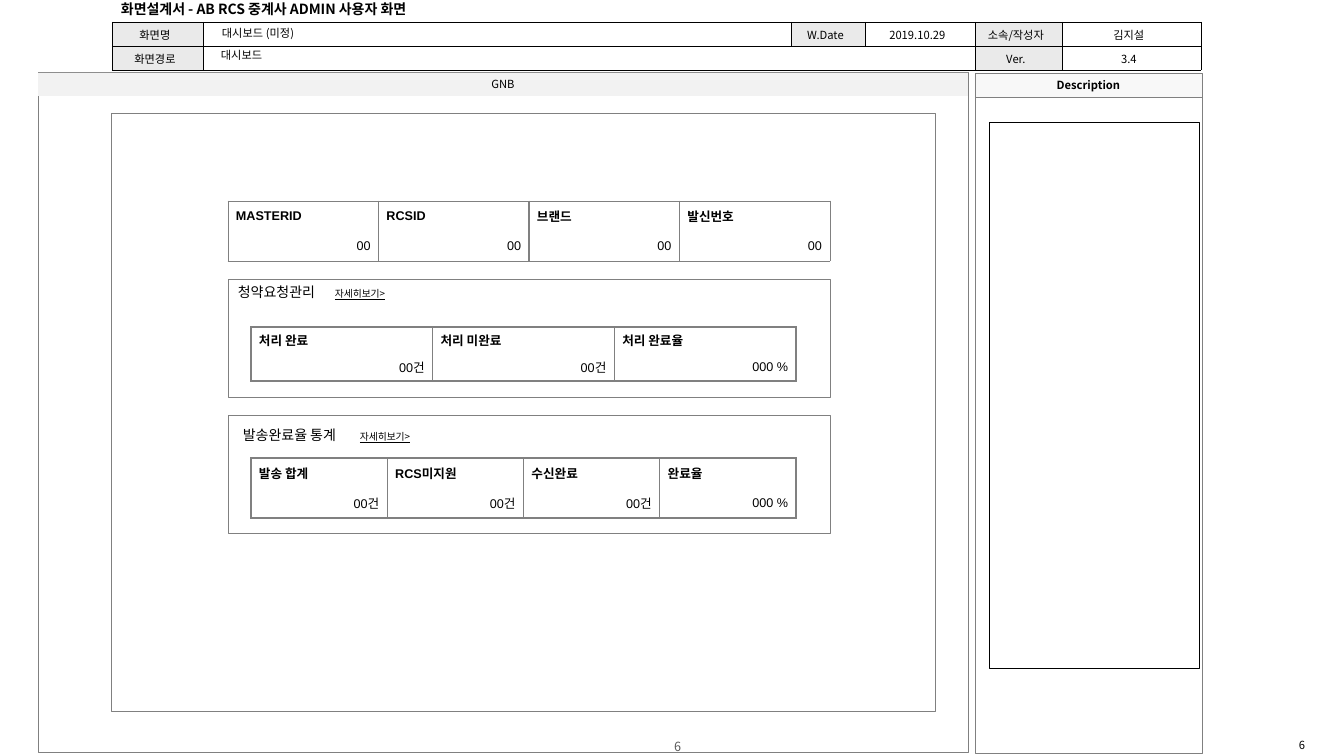
from lxml import etree
from pptx import Presentation
from pptx import util as u
from pptx.dml.color import RGBColor
from pptx.enum import shapes, text
from pptx.oxml import ns

EMU_PER_PX = 914400 / 100.8
BLACK = RGBColor(0x00, 0x00, 0x00)
WHITE = RGBColor(0xFF, 0xFF, 0xFF)
GRAY = RGBColor(0x80, 0x80, 0x80)
PAGE_GRAY = RGBColor(0x59, 0x59, 0x59)
LABEL_FILL = RGBColor(0xEA, 0xEA, 0xEA)
GNB_FILL = RGBColor(0xF2, 0xF2, 0xF2)
HEADING_FILL = RGBColor(0xF8, 0xF8, 0xF8)
NOTO = "Noto Sans CJK KR"
ARIAL = "Arial"
LEFT, CENTER, RIGHT = text.PP_ALIGN.LEFT, text.PP_ALIGN.CENTER, text.PP_ALIGN.RIGHT
TOP, MIDDLE = text.MSO_ANCHOR.TOP, text.MSO_ANCHOR.MIDDLE
RECTANGLE = shapes.MSO_SHAPE.RECTANGLE


def px(length):
    """Turn pixels into EMU."""
    return u.Emu(round(length * EMU_PER_PX))


def add_run(paragraph, words, size, font=NOTO, color=BLACK, bold=False, underline=False):
    """Append one formatted run."""
    run = paragraph.add_run()
    run.text = words
    run.font.size = u.Pt(size)
    run.font.bold = bold
    if underline:
        run.font.underline = True
    run.font.color.rgb = color
    run.font.name = font
    latin = run.font._element.find(ns.qn("a:latin"))
    latin.addnext(latin.makeelement(ns.qn("a:ea"), {"typeface": NOTO}))


def add_label(slide, box, words="", size=8, align=LEFT, anchor=TOP, **style):
    """Add a text box and return its paragraph."""
    frame = slide.shapes.add_textbox(*map(px, box)).text_frame
    frame.word_wrap = True
    frame.vertical_anchor = anchor
    paragraph = frame.paragraphs[0]
    paragraph.alignment = align
    if words:
        add_run(paragraph, words, size, **style)
    return paragraph


def add_box(slide, box, fill=None, line=None, width=0.25, words="", bold=False,
            preset=RECTANGLE):
    """Add an outlined or filled shape with an optional centred caption."""
    shape = slide.shapes.add_shape(preset, *map(px, box))
    shape.shadow.inherit = False
    if fill is None:
        shape.fill.background()
    else:
        shape.fill.solid()
        shape.fill.fore_color.rgb = fill
    if line is None:
        shape.line.fill.background()
    else:
        shape.line.color.rgb = line
        shape.line.width = u.Pt(width)
    if words:
        shape.text_frame.vertical_anchor = MIDDLE
        paragraph = shape.text_frame.paragraphs[0]
        paragraph.alignment = CENTER
        add_run(paragraph, words, 8, bold=bold)
    return shape


def set_borders(cell, color, widths):
    """Draw the left, right, top and bottom borders; a zero width hides one."""
    properties = cell._tc.get_or_add_tcPr()
    for index, (side, width) in enumerate(zip("LRTB", widths)):
        line = properties.makeelement(ns.qn(f"a:ln{side}"), {"w": str(u.Pt(width))})
        if width:
            fill = etree.SubElement(line, ns.qn("a:solidFill"))
            etree.SubElement(fill, ns.qn("a:srgbClr"), val=str(color))
        else:
            etree.SubElement(line, ns.qn("a:noFill"))
        properties.insert(index, line)


def add_table(slide, left, top, columns, rows):
    """Add an unbanded table with column widths in EMU and row heights in px."""
    table = slide.shapes.add_table(len(rows), len(columns), px(left), px(top),
                                   sum(columns), px(sum(rows))).table
    table.first_row = table.horz_banding = False
    for column, width in zip(table.columns, columns):
        column.width = width
    for row, height in zip(table.rows, rows):
        row.height = px(height)
    return table


def fill_cell(cell, words, fill, align, margins, size, **style):
    """Set the fill, margins and text of a cell."""
    cell.fill.solid()
    cell.fill.fore_color.rgb = fill
    cell.vertical_anchor = MIDDLE
    cell.margin_left, cell.margin_right = map(px, margins)
    cell.margin_top = cell.margin_bottom = px(4)
    paragraph = cell.text_frame.paragraphs[0]
    paragraph.alignment = align
    if words:
        add_run(paragraph, words, size, **style)
    else:
        etree.SubElement(paragraph._p, ns.qn("a:endParaRPr"), sz=str(size * 100))


def document_header(slide, left, top):
    """Place the document title and the screen information table."""
    add_label(slide, (left - 1, top - 26, 350, 26), "화면설계서 - AB RCS 중계사 ADMIN 사용자 화면",
              10, anchor=MIDDLE, bold=True)
    rows = (("화면명", "", "W.Date", "2019.10.29", "소속/작성자", "김지설"),
            ("화면경로", "", "", "", "Ver.", "3.4"))
    columns = [px(width) for width in (91, 588, 74, 110, 87, 139)]
    table = add_table(slide, left, top, columns, (24, 24))
    for row, values in enumerate(rows):
        for column, words in enumerate(values):
            cell = table.cell(row, column)
            fill = LABEL_FILL if words and column % 2 == 0 else WHITE
            fill_cell(cell, words, fill, CENTER, (4, 9), 8)
            set_borders(cell, BLACK, (0.25,) * 4)
    table.cell(1, 1).merge(table.cell(1, 3))
    add_label(slide, (left + 100, top - 1, 124, 24), "대시보드 (미정)")
    add_label(slide, (left + 99, top + 21, 125, 24), "대시보드")


def metric_table(slide, left, top, width, rows, metrics, outer=1):
    """Place equal columns, each with a bold name above its value."""
    count = len(metrics)
    table = add_table(slide, left, top, [px(width) // count] * count, rows)
    for column, metric in enumerate(metrics):
        sides = (outer if column == 0 else 1, outer if column == count - 1 else 1)
        for row, words in enumerate(metric):
            cell = table.cell(row, column)
            fill_cell(cell, words, WHITE, RIGHT if row else LEFT, (8, 8), 9,
                      font=ARIAL, bold=row == 0)
            set_borders(cell, GRAY, sides + ((0, outer) if row else (outer, 0)))


def metric_panel(slide, box, title, title_offset, link_tab, table_top, rows, metrics):
    """Place a framed panel with a title, a detail link and a metric table."""
    left, top, width, height = box
    add_box(slide, box, WHITE, GRAY, 0.5)
    x, y = title_offset
    paragraph = add_label(slide, (left + x, top + y, 228, 27))
    tabs = etree.SubElement(paragraph._p.get_or_add_pPr(), ns.qn("a:tabLst"))
    etree.SubElement(tabs, ns.qn("a:tab"), pos=str(px(link_tab)), algn="l")
    add_run(paragraph, title + "\t", 10)
    add_run(paragraph, "자세히보기>", 7, underline=True)
    metric_table(slide, left + 23, top + table_top, width - 57, rows, metrics)


def dashboard(slide, left, top, width, height):
    """Place the screen frame, its navigation bar and the dashboard content."""
    add_box(slide, (left, top, width, height), line=GRAY)
    add_box(slide, (left, top + 1, width, 23), GNB_FILL, words="GNB")
    content = add_box(slide, (left + 73, top + 41, 824, 598), line=GRAY,
                      preset=shapes.MSO_SHAPE.ROUNDED_RECTANGLE)
    content.adjustments[0] = 0
    x = left + 190
    metric_table(slide, x, top + 129, 602, (30, 30),
                 [(name, "00") for name in ("MASTERID", "RCSID", "브랜드", "발신번호")], 0.5)
    metric_panel(slide, (x, top + 207, 602, 118), "청약요청관리", (0, 0), 97, 48, (26, 28),
                 (("처리 완료", "00건"), ("처리 미완료", "00건"), ("처리 완료율", "000 %")))
    metric_panel(slide, (x, top + 343, 602, 118), "발송완료율 통계", (5, 7), 117, 43, (30, 30),
                 (("발송 합계", "00건"), ("RCS미지원", "00건"),
                  ("수신완료", "00건"), ("완료율", "000 %")))


def description(slide, left, top, width, height):
    """Place the description column with its empty note box."""
    add_box(slide, (left, top + 24, width, height - 24), line=GRAY)
    add_box(slide, (left, top, width, 24), HEADING_FILL, GRAY, words="Description", bold=True)
    add_box(slide, (left + 14, top + 49, width - 17, 546), WHITE, BLACK)


def page_numbers(slide):
    """Place the page number at the centre and at the right."""
    add_label(slide, (521, 740, 313, 13), "6", 9, CENTER, MIDDLE, color=PAGE_GRAY)
    add_label(slide, (1260, 737, 84, 16), "6", 8, CENTER, MIDDLE)


def main():
    """Build the slide and save it."""
    presentation = Presentation()
    presentation.slide_width, presentation.slide_height = px(1344), px(756)
    slide = presentation.slides.add_slide(presentation.slide_layouts[6])
    dashboard(slide, 38, 72, 930, 680)
    document_header(slide, 112, 22)
    description(slide, 975, 73, 227, 680)
    page_numbers(slide)
    presentation.save("out.pptx")


if __name__ == "__main__":
    main()
